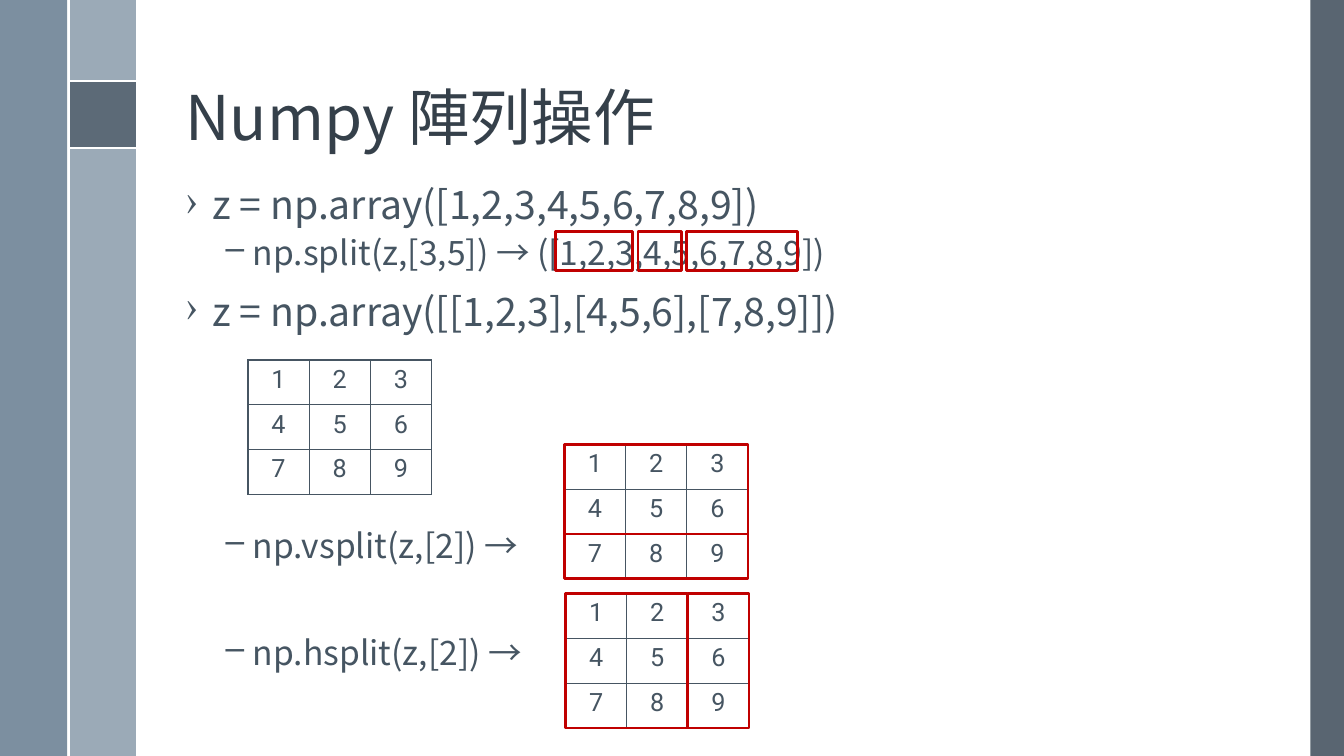
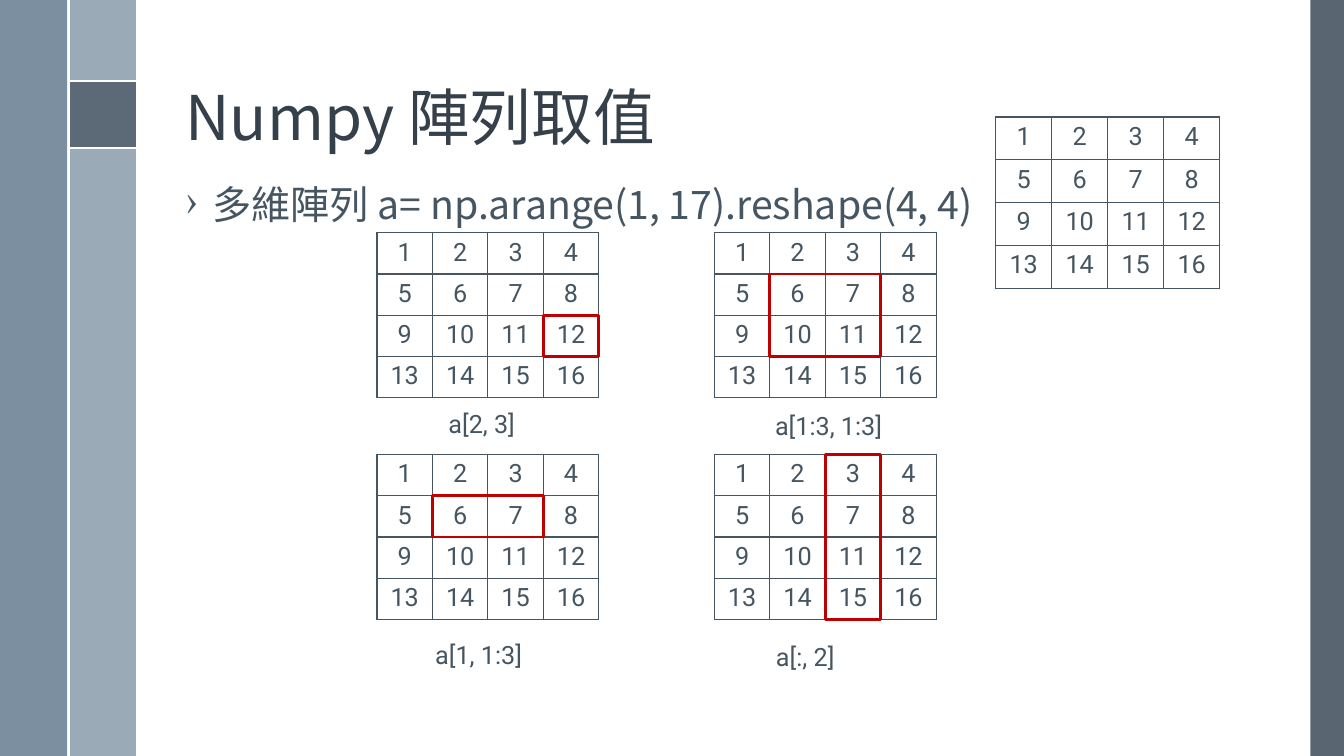
from pptx import Presentation
from pptx.dml.color import RGBColor
from pptx.enum.shapes import MSO_CONNECTOR as Connector, MSO_SHAPE as Shape
from pptx.enum.text import MSO_ANCHOR as Anchor, PP_ALIGN as Align
from pptx.oxml.ns import qn
from pptx.util import Pt
from lxml.etree import SubElement

SLATE = RGBColor(0x47, 0x55, 0x62)
STEEL = RGBColor(0x6A, 0x80, 0x93)
MIST = RGBColor(0x9B, 0xAA, 0xB7)
WHITE = RGBColor(0xFF, 0xFF, 0xFF)
TITLE_INK = RGBColor(0x35, 0x40, 0x4A)
INK = RGBColor(0x46, 0x55, 0x62)
RED = RGBColor(0xC0, 0x00, 0x00)
CJK, LATIN = "Noto Sans CJK TC", "Roboto"

WIDTH, HEIGHT = 960, 540

# Side bands: left, top, width, height, colour, opacity in percent
BANDS = [
    (936, 0, 24, HEIGHT, SLATE, 90),
    (49, 0, 48, HEIGHT, MIST, 100),
    (0, 0, 48, HEIGHT, STEEL, 88),
    (49, 58, 48, 48, SLATE, 75),
]
RULES = [(49, 58, 97, 58), (49, 106, 97, 106), (49, 0, 49, HEIGHT)]

# Body levels: bullet, size, line height, left margin
LEVELS = [("›", 28, 30.3, 19.44), ("–", 24, 26, 48.24)]
HANGING = 19.44

# Body: level, space before, text
# Grids: left, top, cells per side, cell width, cell height, marks
# Marks: first row, first column, rows, columns
SLIDES = [
    {
        "title": "Numpy 陣列操作",
        "body": [
            (0, 0, "z = np.array([1,2,3,4,5,6,7,8,9])"),
            (1, 6, "np.split(z,[3,5]) → ([1,2,3,4,5,6,7,8,9])"),
            (0, 14, "z = np.array([[1,2,3],[4,5,6],[7,8,9]])"),
            (1, 139, "np.vsplit(z,[2]) →"),
            (1, 50.3, "np.hsplit(z,[2]) →"),
        ],
        "pieces": [(396.7, 55.4), (455.8, 31), (490.3, 79.2)],
        "grids": [
            (403.2, 317.5, 3, 43.7, 32, [(0, 0, 2, 3), (2, 0, 1, 3)]),
            (404, 424, 3, 43.7, 32, [(0, 0, 3, 2), (0, 2, 3, 1)]),
            (177.1, 257.2, 3, 43.7, 32, []),
        ],
        "captions": [],
    },
    {
        "title": "Numpy 陣列取值",
        "body": [(0, 0, "多維陣列 a= np.arange(1, 17).reshape(4, 4)")],
        "pieces": [],
        "grids": [
            (711.2, 83.5, 4, 40, 30.6, []),
            (269.3, 166.2, 4, 39.6, 29.5, [(2, 3, 1, 1)]),
            (269.3, 324.6, 4, 39.6, 29.5, [(1, 1, 1, 2)]),
            (510.3, 166.2, 4, 39.6, 29.5, [(1, 1, 2, 2)]),
            (510.3, 324.6, 4, 39.6, 29.5, [(0, 2, 4, 1)]),
        ],
        "captions": [
            ("a[2, 3]", 313.2, 288),
            ("a[1, 1:3]", 303.8, 452.9),
            ("a[1:3, 1:3]", 546.5, 289.4),
            ("a[:, 2]", 547.2, 454.3),
        ],
    },
]


def add_run(paragraph, text, size, font, color):
    run = paragraph.add_run()
    run.text = text
    run.font.size = Pt(size)
    run.font.name = font
    run.font.color.rgb = color
    SubElement(run.font._element, qn("a:ea"), typeface=font)


def add_grid(slide, left, top, side, cell_width, cell_height):
    grid = slide.shapes.add_table(
        side, side, Pt(left), Pt(top), Pt(side * cell_width), Pt(side * cell_height)
    ).table
    grid.first_row = grid.horz_banding = False
    for index in range(side):
        grid.columns[index].width = Pt(cell_width)
        grid.rows[index].height = Pt(cell_height)
    for number, cell in enumerate(grid.iter_cells(), 1):
        paragraph = cell.text_frame.paragraphs[0]
        paragraph.alignment = Align.CENTER
        add_run(paragraph, str(number), 18, LATIN, INK)
        borders = cell._tc.get_or_add_tcPr()
        for edge in ("a:lnL", "a:lnR", "a:lnT", "a:lnB"):
            line = SubElement(borders, qn(edge), w=str(Pt(1)))
            fill = SubElement(line, qn("a:solidFill"))
            SubElement(fill, qn("a:srgbClr"), val=str(INK))
        cell.fill.background()


deck = Presentation()
deck.slide_width, deck.slide_height = Pt(WIDTH), Pt(HEIGHT)

for content in SLIDES:
    slide = deck.slides.add_slide(deck.slide_layouts[6])
    shapes = slide.shapes

    # Side bands and their white rules
    for *box, color, opacity in BANDS:
        band = shapes.add_shape(Shape.RECTANGLE, *map(Pt, box))
        band.shadow.inherit = False
        band.line.fill.background()
        band.fill.solid()
        band.fill.fore_color.rgb = color
        if opacity < 100:
            tint = band._element.spPr.find(qn("a:solidFill"))[0]
            SubElement(tint, qn("a:alpha"), val=str(opacity * 1000))
    for ends in RULES:
        rule = shapes.add_connector(Connector.STRAIGHT, *map(Pt, ends))
        rule.line.color.rgb = WHITE
        rule.line.width = Pt(1.5)
        SubElement(rule._element.spPr, qn("a:effectLst"))

    # Title
    title = shapes.add_textbox(Pt(125.3), Pt(15.5), Pt(770.4), Pt(98)).text_frame
    title.word_wrap = True
    title.vertical_anchor = Anchor.BOTTOM
    title.paragraphs[0].line_spacing = 0.9
    add_run(title.paragraphs[0], content["title"], 44, CJK, TITLE_INK)

    # Bulleted body
    body = shapes.add_textbox(Pt(125.3), Pt(128.5), Pt(770.4), Pt(360)).text_frame
    body.word_wrap = True
    for index, (level, space, text) in enumerate(content["body"]):
        bullet, size, line_height, margin = LEVELS[level]
        item = body.add_paragraph() if index else body.paragraphs[0]
        item.level = level
        item.line_spacing = Pt(line_height)
        item.space_before = Pt(space)
        indents = item._p.get_or_add_pPr()
        indents.set("marL", str(Pt(margin)))
        indents.set("indent", str(-Pt(HANGING)))
        SubElement(indents, qn("a:buChar"), char=bullet)
        add_run(item, text, size, CJK, INK)

    # Number grids, then the red frames around the chosen parts
    frames = [(left, 165.6, width, 27.4) for left, width in content["pieces"]]
    for left, top, side, cell_width, cell_height, marks in content["grids"]:
        add_grid(slide, left, top, side, cell_width, cell_height)
        for row, column, rows, columns in marks:
            frames.append((left + column * cell_width, top + row * cell_height,
                           columns * cell_width, rows * cell_height))
    for box in frames:
        frame = shapes.add_shape(Shape.RECTANGLE, *map(Pt, box))
        frame.shadow.inherit = False
        frame.fill.background()
        frame.line.color.rgb = RED
        frame.line.width = Pt(2)

    # Index expressions under the grids
    for text, left, top in content["captions"]:
        caption = shapes.add_textbox(Pt(left), Pt(top), Pt(110), Pt(29)).text_frame
        caption.word_wrap = True
        add_run(caption.paragraphs[0], text, 18, LATIN, INK)

deck.save("out.pptx")
